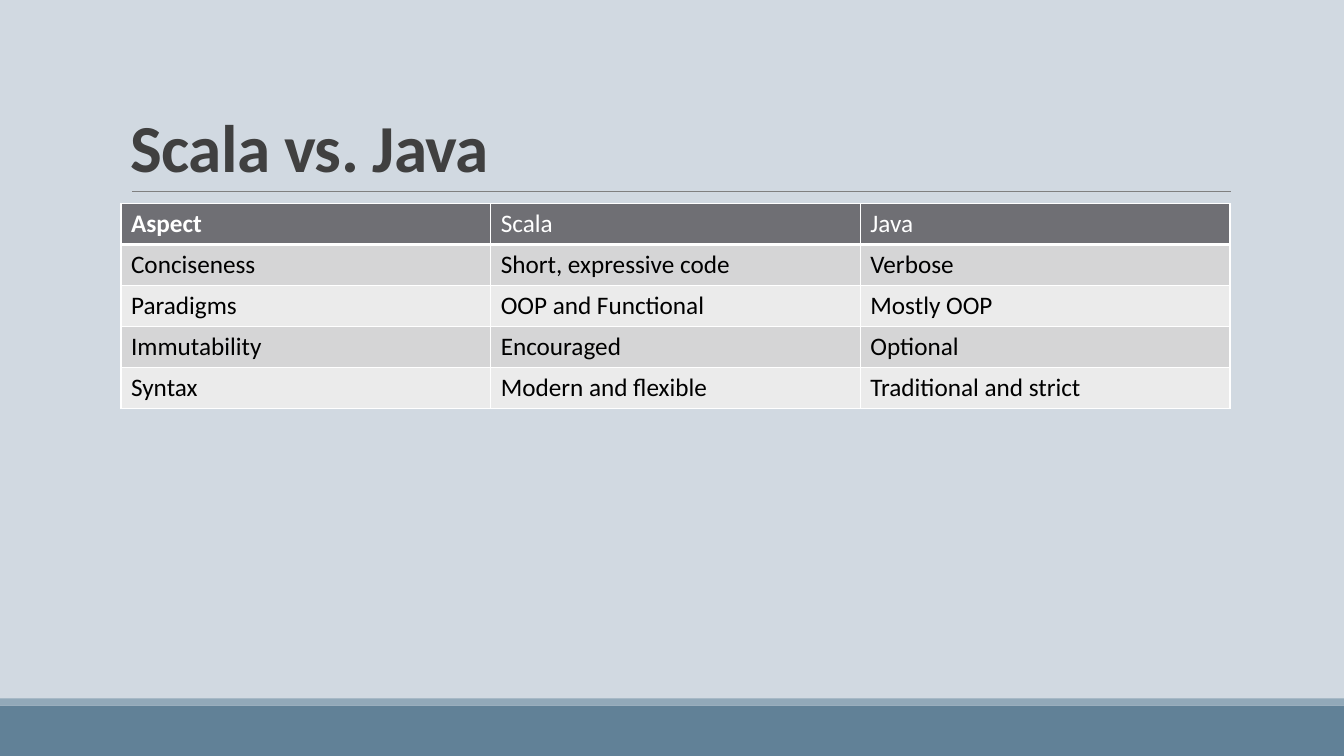
from pptx import Presentation, util as u
from pptx.dml.color import RGBColor
from pptx.enum import shapes, text
from pptx.oxml import parse_xml
from pptx.oxml.ns import nsdecls
from lxml import etree

C = {"bg": "D1D9E1", "band": "618197", "strip": "92A9B9", "rule": "808080",
     "title": "404040", "head": "6F6F74", "odd": "D5D5D6", "even": "EBEBEB",
     "white": "FFFFFF", "black": "000000"}
ROWS = [("Aspect", "Scala", "Java"),
        ("Conciseness", "Short, expressive code", "Verbose"),
        ("Paradigms", "OOP and Functional", "Mostly OOP"),
        ("Immutability", "Encouraged", "Optional"),
        ("Syntax", "Modern and flexible", "Traditional and strict")]


def write(tf, words, size=18, color="black", bold=False, spacing=None, line=None):
    p = tf.paragraphs[0]
    p.line_spacing = line
    r = p.add_run()
    r.text = words
    r.font.name, r.font.size, r.font.bold = "Calibri", u.Pt(size), bold
    r.font.color.rgb = RGBColor.from_string(C[color])
    if spacing is not None:
        r._r.get_or_add_rPr().set("spc", str(int(spacing * 100)))


def border(cell, side, points):
    cell._tc.get_or_add_tcPr().append(parse_xml(
        f'<a:ln{side} {nsdecls("a")} w="{u.Pt(points)}"><a:solidFill>'
        f'<a:srgbClr val="{C["white"]}"/></a:solidFill></a:ln{side}>'))


prs = Presentation()
prs.slide_width, prs.slide_height = u.Inches(13.33), u.Inches(7.5)
s = prs.slides.add_slide(prs.slide_layouts[6])
s.background.fill.solid()
s.background.fill.fore_color.rgb = RGBColor.from_string(C["bg"])
left, width, row_h = u.Inches(1.2), u.Inches(11), u.Inches(0.406)

# Footer bands
for top, height, color in ((7, 0.5, "band"), (6.93, 0.07, "strip")):
    sp = s.shapes.add_shape(shapes.MSO_SHAPE.RECTANGLE, 0, u.Inches(top),
                            prs.slide_width, u.Inches(height))
    sp.shadow.inherit = False
    sp.fill.solid()
    sp.fill.fore_color.rgb = RGBColor.from_string(C[color])
    sp.line.fill.background()

# Title and the rule under it
rule_y = u.Inches(1.9)
rule = s.shapes.add_connector(shapes.MSO_CONNECTOR.STRAIGHT, u.Inches(1.31), rule_y,
                              u.Inches(12.21), rule_y)
rule.line.color.rgb = RGBColor.from_string(C["rule"])
rule.line.width = u.Pt(0.5)
etree.SubElement(rule._element.spPr,
                 "{http://schemas.openxmlformats.org/drawingml/2006/main}effectLst")
title_top = u.Inches(0.31)
tf = s.shapes.add_textbox(left, title_top, width, rule_y - title_top).text_frame
tf.word_wrap = True
tf.vertical_anchor = text.MSO_ANCHOR.BOTTOM
write(tf, "Scala vs. Java", size=48, color="title", bold=True, spacing=-0.5, line=0.85)

# Comparison table
table = s.shapes.add_table(len(ROWS), len(ROWS[0]), left, u.Inches(2.02),
                           width, row_h * len(ROWS)).table
for i, row in enumerate(ROWS):
    table.rows[i].height = row_h
    for j, words in enumerate(row):
        cell = table.cell(i, j)
        for side in "LRTB":
            under_head = (i, side) in ((0, "B"), (1, "T"))
            border(cell, side, 3 if under_head else 1)
        fill = "head" if i == 0 else "odd" if i % 2 else "even"
        cell.fill.solid()
        cell.fill.fore_color.rgb = RGBColor.from_string(C[fill])
        write(cell.text_frame, words, color="black" if i else "white", bold=i == j == 0)

prs.save("out.pptx")
